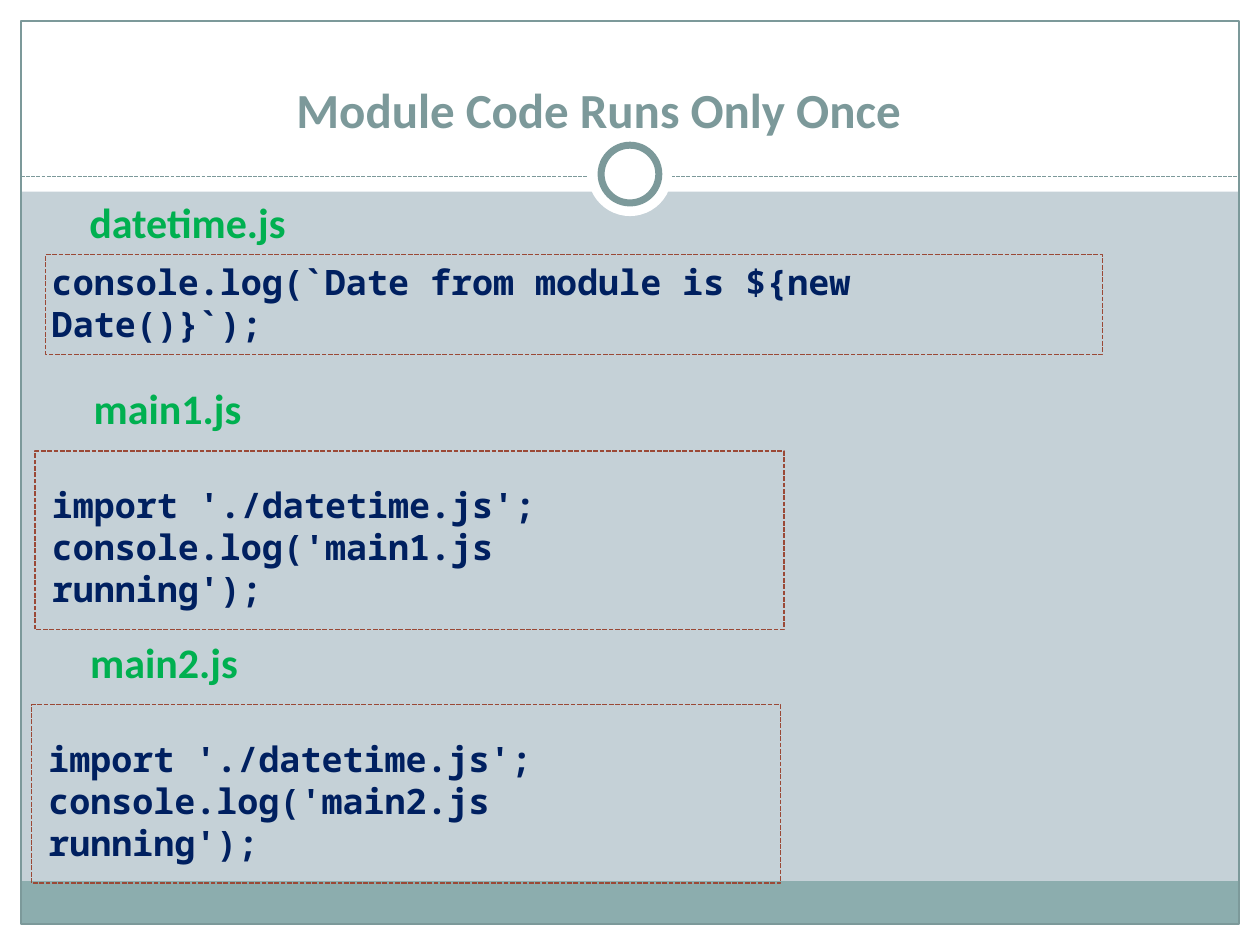
from pptx import Presentation
from pptx.dml.color import RGBColor
from pptx.enum.dml import MSO_LINE
from pptx.enum.shapes import MSO_CONNECTOR, MSO_SHAPE
from pptx.enum.text import MSO_ANCHOR, MSO_AUTO_SIZE, PP_ALIGN
from pptx.oxml.ns import qn
from pptx.util import Pt
from lxml.etree import SubElement

PAPER = "C5D1D7"
WHITE = "FFFFFF"
TEAL = "7C999A"
FOOTER = "8CADAE"
RUST = "9B4936"

HEADING = {"name": "Calibri", "size": Pt(28), "bold": True}
FILE_NAME = {"name": "Calibri", "size": Pt(24), "bold": True}
CODE = {"name": "Noto Sans Mono", "size": Pt(20), "bold": True}
FRAME = {"auto_size": MSO_AUTO_SIZE.NONE, "word_wrap": True}


def rgb(value):
    return RGBColor.from_string(value)


def points(lengths):
    return [Pt(length) for length in lengths]


def apply(target, values):
    for name, value in values.items():
        setattr(target, name, value)


class ModuleSlide:
    def __init__(self, deck):
        self.slide = deck.slides.add_slide(deck.slide_layouts[5])
        self.slide.background.fill.solid()
        self.slide.background.fill.fore_color.rgb = rgb(PAPER)

    def outline(self, line, color, width, dash=None):
        line.color.rgb = rgb(color)
        line.width = Pt(width)
        if dash:
            line.dash_style = dash

    def panel(self, bounds, fill=None, line=None, width=0.75, dash=None,
              kind=MSO_SHAPE.RECTANGLE):
        panel = self.slide.shapes.add_shape(kind, *points(bounds))
        panel.shadow.inherit = False
        if fill:
            panel.fill.solid()
            panel.fill.fore_color.rgb = rgb(fill)
        else:
            panel.fill.background()
        if line:
            self.outline(panel.line, line, width, dash)
        else:
            panel.line.fill.background()

    def rule(self, ends, color):
        rule = self.slide.shapes.add_connector(MSO_CONNECTOR.STRAIGHT, *points(ends))
        self.outline(rule.line, color, 0.75, MSO_LINE.SQUARE_DOT)
        SubElement(rule.element.spPr, qn("a:effectLst"))

    def fill_frame(self, frame, lines, style, color, align=PP_ALIGN.LEFT):
        apply(frame, FRAME)
        for index, line in enumerate(lines):
            paragraph = frame.add_paragraph() if index else frame.paragraphs[0]
            paragraph.alignment = align
            run = paragraph.add_run()
            run.text = line
            apply(run.font, style)
            run.font.color.rgb = rgb(color)

    def title(self, words, bounds):
        heading = self.slide.shapes.title
        apply(heading, dict(zip(("left", "top", "width", "height"), points(bounds))))
        heading.text_frame.vertical_anchor = MSO_ANCHOR.BOTTOM
        self.fill_frame(heading.text_frame, [words], HEADING, TEAL, PP_ALIGN.CENTER)
        heading.element.getparent().append(heading.element)

    def text(self, lines, bounds, style, color):
        box = self.slide.shapes.add_textbox(*points(bounds))
        self.fill_frame(box.text_frame, lines, style, color)

    def listing(self, name, lines, name_box, code_box, border):
        self.panel(border, line=RUST, width=0.9, dash=MSO_LINE.SQUARE_DOT)
        self.text(lines, code_box, CODE, "002060")
        self.text([name], name_box, FILE_NAME, "00B050")


def main():
    deck = Presentation()
    deck.slide_width, deck.slide_height = Pt(720), Pt(540)
    page = ModuleSlide(deck)

    for edge in ((0, 528, 720, 12), (0, 0, 720, 109.5),
                 (0, 0, 12, 540), (708, 0, 12, 540)):
        page.panel(edge, WHITE)
    page.panel((11.5, 503.5, 696, 24.5), FOOTER)
    page.panel((12, 12, 696, 516), line=TEAL)
    page.rule((12, 100.8, 708, 100.8), TEAL)
    page.panel((336, 75.5, 48, 48), WHITE, kind=MSO_SHAPE.OVAL)
    page.panel((343.5, 83, 33, 33), WHITE, TEAL, 4, kind=MSO_SHAPE.OVAL)
    page.title("Module Code Runs Only Once", (6, 22.5, 672, 60))

    page.listing("datetime.js", ["console.log(`Date from module is ${new Date()}`);"],
                 (44, 108.7, 128, 36), (22.5, 145.5, 559, 32), (26, 145.5, 604, 57))
    for name, left, top in (("main1.js", 20, 257.8), ("main2.js", 18, 402.7)):
        page.listing(name, ["import './datetime.js';", f"console.log('{name} running');"],
                     (left + 26.5, top - 42.5, 100, 36),
                     (left + 2.5, top + 15, 370, 55.5), (left, top, 428, 102))

    deck.save("out.pptx")


if __name__ == "__main__":
    main()
